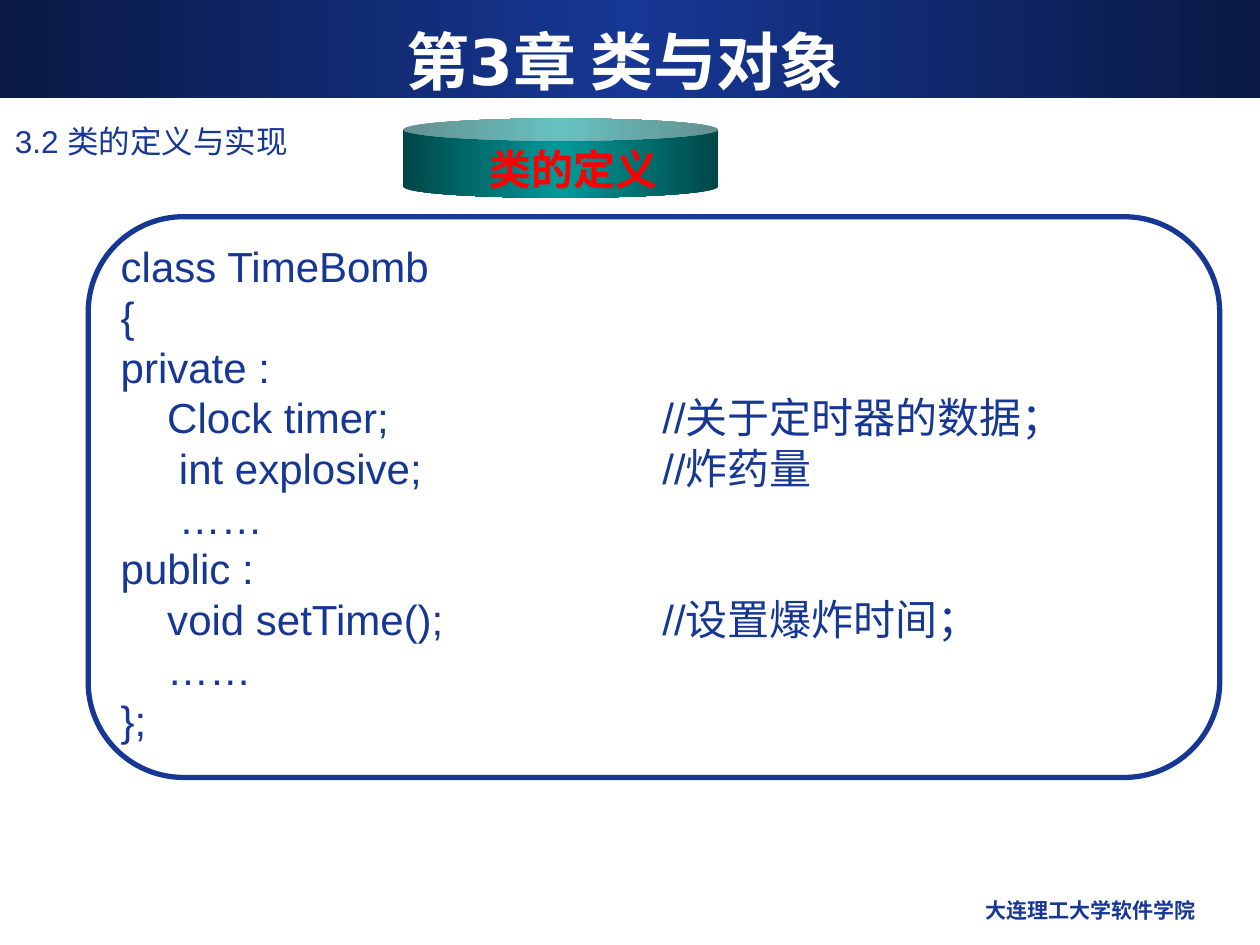
"""Build the class definition slide of the chapter on classes and objects."""
import copy
import dataclasses

import lxml.etree
import pptx
import pptx.dml.color
import pptx.enum.shapes
import pptx.enum.text
import pptx.oxml.ns
import pptx.util

Inches = pptx.util.Inches
Pt = pptx.util.Pt
RGBColor = pptx.dml.color.RGBColor
Align = pptx.enum.text.PP_ALIGN
Anchor = pptx.enum.text.MSO_ANCHOR
Preset = pptx.enum.shapes.MSO_SHAPE

NAVY = RGBColor(0x16, 0x37, 0x94)
DARK_NAVY = RGBColor(0x0A, 0x19, 0x44)
TEAL = RGBColor(0x00, 0x99, 0x99)
DARK_TEAL = RGBColor(0x00, 0x47, 0x47)
RED = RGBColor(0xFF, 0x00, 0x00)
WHITE = RGBColor(0xFF, 0xFF, 0xFF)

CODE = """class TimeBomb
{
private :
    Clock timer;\t//关于定时器的数据；
     int explosive;\t//炸药量
     ……
public :
    void setTime();\t//设置爆炸时间；
    ……
};"""


@dataclasses.dataclass(frozen=True)
class Area:
    left: float
    top: float
    width: float
    height: float

    def lengths(self) -> list[int]:
        return [Inches(value) for value in dataclasses.astuple(self)]


def add_text(slide, area: Area, text: str, *, size: float, color: RGBColor = NAVY,
             font: str = "Arial", bold: bool = False, align=Align.LEFT,
             anchor=Anchor.TOP, wrap: bool = True, line_pitch: float | None = None,
             tab: float | None = None) -> None:
    frame = slide.shapes.add_textbox(*area.lengths()).text_frame
    frame.word_wrap = wrap
    frame.vertical_anchor = anchor
    for index, line in enumerate(text.split("\n")):
        paragraph = frame.add_paragraph() if index else frame.paragraphs[0]
        paragraph.alignment = align
        if line_pitch:
            paragraph.line_spacing = Pt(line_pitch)
        if tab:
            stops = lxml.etree.SubElement(paragraph._p.get_or_add_pPr(),
                                          pptx.oxml.ns.qn("a:tabLst"))
            lxml.etree.SubElement(stops, pptx.oxml.ns.qn("a:tab"),
                                  pos=str(Inches(tab)), algn="l")
        run = paragraph.add_run()
        run.text = line
        run.font.name = font
        run.font.size = Pt(size)
        run.font.bold = bold
        run.font.color.rgb = color


def add_gradient_shape(slide, preset, area: Area, edge: RGBColor, middle: RGBColor):
    shape = slide.shapes.add_shape(preset, *area.lengths())
    shape.shadow.inherit = False
    shape.line.fill.background()
    shape.fill.gradient()
    shape.fill.gradient_angle = 0
    stop_list = shape._element.spPr.find(".//" + pptx.oxml.ns.qn("a:gsLst"))
    stop_list.append(copy.deepcopy(stop_list[0]))
    for stop, position, color in zip(shape.fill.gradient_stops, (0, 0.5, 1),
                                     (edge, middle, edge)):
        stop.position = position
        stop.color.rgb = color
    return shape


def add_code_frame(slide, area: Area) -> None:
    code_frame = slide.shapes.add_shape(Preset.ROUNDED_RECTANGLE, *area.lengths())
    code_frame.shadow.inherit = False
    code_frame.adjustments[0] = 0.17
    code_frame.fill.background()
    code_frame.line.color.rgb = NAVY
    code_frame.line.width = Pt(3)


def main() -> None:
    deck = pptx.Presentation()
    deck.slide_width, deck.slide_height = Inches(10), Inches(7.5)
    slide = deck.slides.add_slide(deck.slide_layouts[6])

    add_gradient_shape(slide, Preset.RECTANGLE, Area(0, 0, 10, 0.78), DARK_NAVY, NAVY)
    add_text(slide, Area(6.42, 7.07, 3.17, 0.35), "大连理工大学软件学院", size=12,
             font="DejaVu Sans", bold=True, align=Align.RIGHT)
    add_text(slide, Area(0.02, 0.92, 9.25, 0.41), "3.2 类的定义与实现", size=18)
    add_text(slide, Area(0.33, 0.17, 9.25, 0.62), "第3章 类与对象", size=36, color=WHITE,
             font="DejaVu Sans", bold=True, align=Align.CENTER, anchor=Anchor.MIDDLE)

    add_code_frame(slide, Area(0.7, 1.72, 8.98, 4.45))
    add_text(slide, Area(0.86, 1.86, 8.34, 4.1), CODE, size=24, line_pitch=28.8, tab=4.3)

    topic = add_gradient_shape(slide, Preset.CAN, Area(3.2, 0.94, 2.5, 0.63),
                               DARK_TEAL, TEAL)
    topic.adjustments[0] = 0.28
    add_text(slide, Area(3.79, 1.09, 1.53, 0.5), "类的定义", size=24, color=RED,
             bold=True, wrap=False)

    deck.save("out.pptx")


if __name__ == "__main__":
    main()
